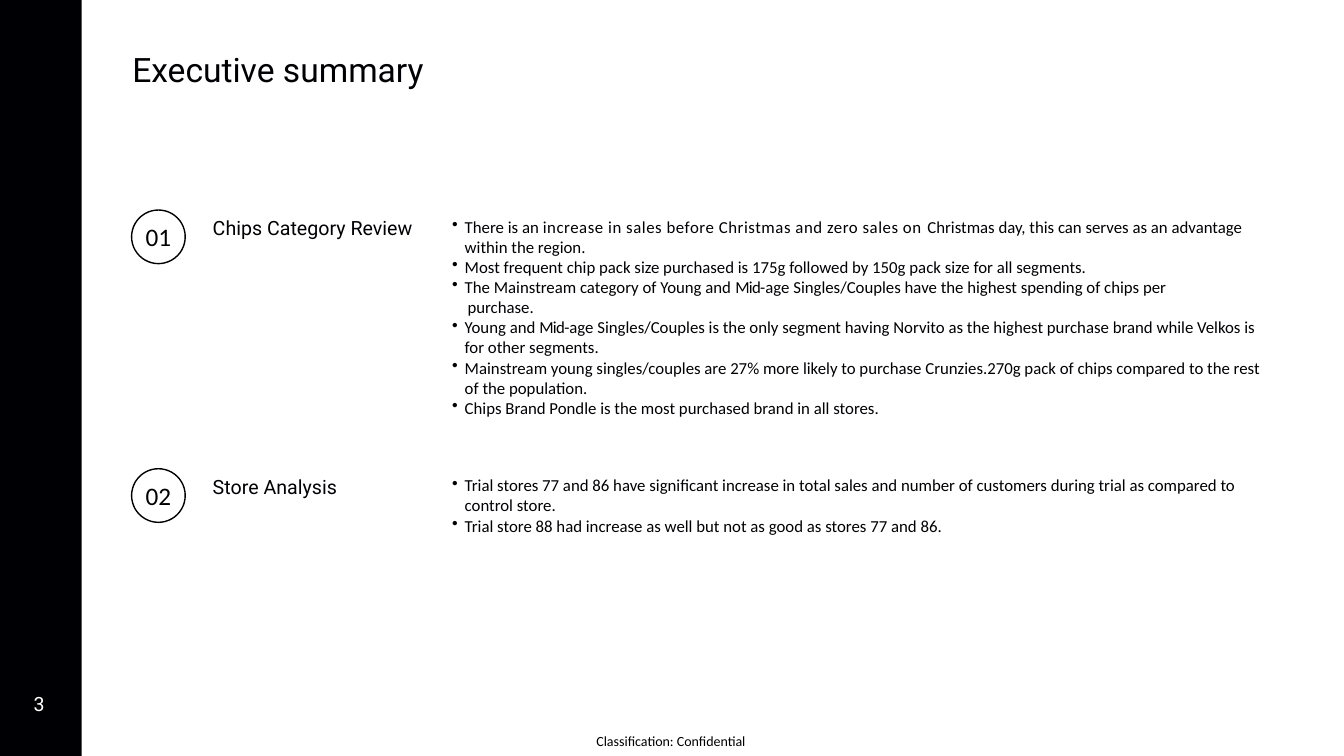
from lxml.etree import SubElement
from pptx import Presentation
from pptx.dml.color import RGBColor
from pptx.enum.shapes import MSO_SHAPE
from pptx.enum.text import MSO_ANCHOR, PP_ALIGN
from pptx.oxml.ns import qn
from pptx.util import Pt

COLORS = {"ink": "000004", "black": "000000", "white": "FFFFFF"}

FORMATS = {
    "title": {"name": "Roboto", "size": Pt(24), "color": "ink"},
    "heading": {"name": "Roboto", "size": Pt(14), "color": "ink"},
    "page": {"name": "Roboto", "size": Pt(14), "color": "white"},
    "number": {"name": "Calibri", "size": Pt(18), "color": "black"},
    "body": {"name": "Calibri", "size": Pt(12), "color": "ink"},
    "footer": {"name": "Calibri", "size": Pt(10), "color": "black"},
}

# Each point is a list of (text, letter spacing in points);
# a point without a bullet continues the line above it.
SECTIONS = [
    ("01", "Chips Category Review", [
        (True, [("There is an ", 0),
                ("increase in sales before Christmas and zero sales on ", 0.4),
                ("Christmas day, this can serves as an advantage within the region.", 0)]),
        (True, [("Most frequent chip pack size purchased is 175g followed by "
                 "150g pack size for all segments.", 0)]),
        (True, [("The Mainstream category of Young and ", 0), ("Mid-", -0.5),
                ("age Singles/Couples have the highest spending of chips per", 0)]),
        (False, [("purchase.", 0)]),
        (True, [("Young and ", 0), ("Mid-", -0.5),
                ("age Singles/Couples is the only segment having Norvito as the "
                 "highest purchase brand while Velkos is for other segments.", 0)]),
        (True, [("Mainstream young singles/couples are 27% more likely to purchase "
                 "Crunzies.270g pack of chips compared to the rest of the population.", 0)]),
        (True, [("Chips Brand Pondle is the most purchased brand in all stores.", 0)]),
    ]),
    ("02", "Store Analysis", [
        (True, [("Trial stores 77 and 86 have significant increase in total sales and "
                 "number of customers during trial as compared to control store.", 0)]),
        (True, [("Trial store 88 had increase as well but not as good as "
                 "stores 77 and 86.", 0)]),
    ]),
]


class SlideBuilder:
    def __init__(self, slide):
        self.slide = slide

    def color(self, name):
        return RGBColor.from_string(COLORS[name])

    def set_frame(self, frame, top_inset=0):
        frame.word_wrap = True
        frame.margin_left = frame.margin_right = frame.margin_bottom = 0
        frame.margin_top = Pt(top_inset)

    def add_run(self, paragraph, text, style, spacing=0):
        run = paragraph.add_run()
        run.text = text
        for key, value in FORMATS[style].items():
            if key == "color":
                run.font.color.rgb = self.color(value)
            else:
                setattr(run.font, key, value)
        if spacing:
            run._r.get_or_add_rPr().set("spc", str(round(spacing * 100)))

    def add_shape(self, kind, left, top, width, height, fill=None, line=None):
        shape = self.slide.shapes.add_shape(kind, Pt(left), Pt(top), Pt(width), Pt(height))
        shape.shadow.inherit = False
        if fill:
            shape.fill.solid()
            shape.fill.fore_color.rgb = self.color(fill)
        else:
            shape.fill.background()
        if line:
            shape.line.color.rgb = self.color(line)
            shape.line.width = Pt(1)
        else:
            shape.line.fill.background()
        return shape

    def add_badge(self, text, left, top, size):
        shape = self.add_shape(MSO_SHAPE.OVAL, left, top, size, size, line="black")
        frame = shape.text_frame
        self.set_frame(frame)
        frame.vertical_anchor = MSO_ANCHOR.MIDDLE
        frame.paragraphs[0].alignment = PP_ALIGN.CENTER
        self.add_run(frame.paragraphs[0], text, "number")

    def add_box(self, left, top, width, height, top_inset=0):
        box = self.slide.shapes.add_textbox(Pt(left), Pt(top), Pt(width), Pt(height))
        self.set_frame(box.text_frame, top_inset)
        return box.text_frame

    def add_text(self, text, style, left, top, width, height, before=0, line_spacing=None):
        frame = self.add_box(left, top, width, height, top_inset=before)
        paragraph = frame.paragraphs[0]
        paragraph.space_before = Pt(before)
        if line_spacing:
            paragraph.line_spacing = Pt(line_spacing)
        self.add_run(paragraph, text, style)

    def add_points(self, points, left, top, width, height):
        frame = self.add_box(left, top, width, height, top_inset=1)
        for index, (bulleted, runs) in enumerate(points):
            paragraph = frame.add_paragraph() if index else frame.paragraphs[0]
            paragraph.space_before = Pt(0 if index else 1)
            properties = paragraph._p.get_or_add_pPr()
            properties.set("marL", str(Pt(10 if bulleted else 12)))
            properties.set("indent", str(Pt(-9 if bulleted else 0)))
            if bulleted:
                SubElement(properties, qn("a:buChar")).set("char", "•")
            for text, spacing in runs:
                self.add_run(paragraph, text, "body", spacing)


def main():
    presentation = Presentation()
    presentation.slide_width, presentation.slide_height = Pt(960), Pt(540)
    slide = presentation.slides.add_slide(presentation.slide_layouts[6])
    builder = SlideBuilder(slide)

    # Side bar and title
    builder.add_shape(MSO_SHAPE.RECTANGLE, 0, 0, 58.3, 540, fill="ink")
    builder.add_text("Executive summary", "title", 94.5, 34, 790, 31, before=1)

    # Numbered sections
    first_top, section_step = 150, 184.8
    for index, (number, heading, points) in enumerate(SECTIONS):
        top = first_top + index * section_step
        builder.add_badge(number, 94, top, 38.3)
        builder.add_text(heading, "heading", 152, top + 3.3, 150, 19, before=1)
        builder.add_points(points, 322, top + 3.5, 584, 15 * len(points))

    # Page number and classification
    builder.add_text("3", "page", 24, 494.6, 14, 19)
    builder.add_text("Classification: Confidential", "footer", 426, 525, 112, 12,
                     line_spacing=10.4)

    presentation.save("out.pptx")


if __name__ == "__main__":
    main()
